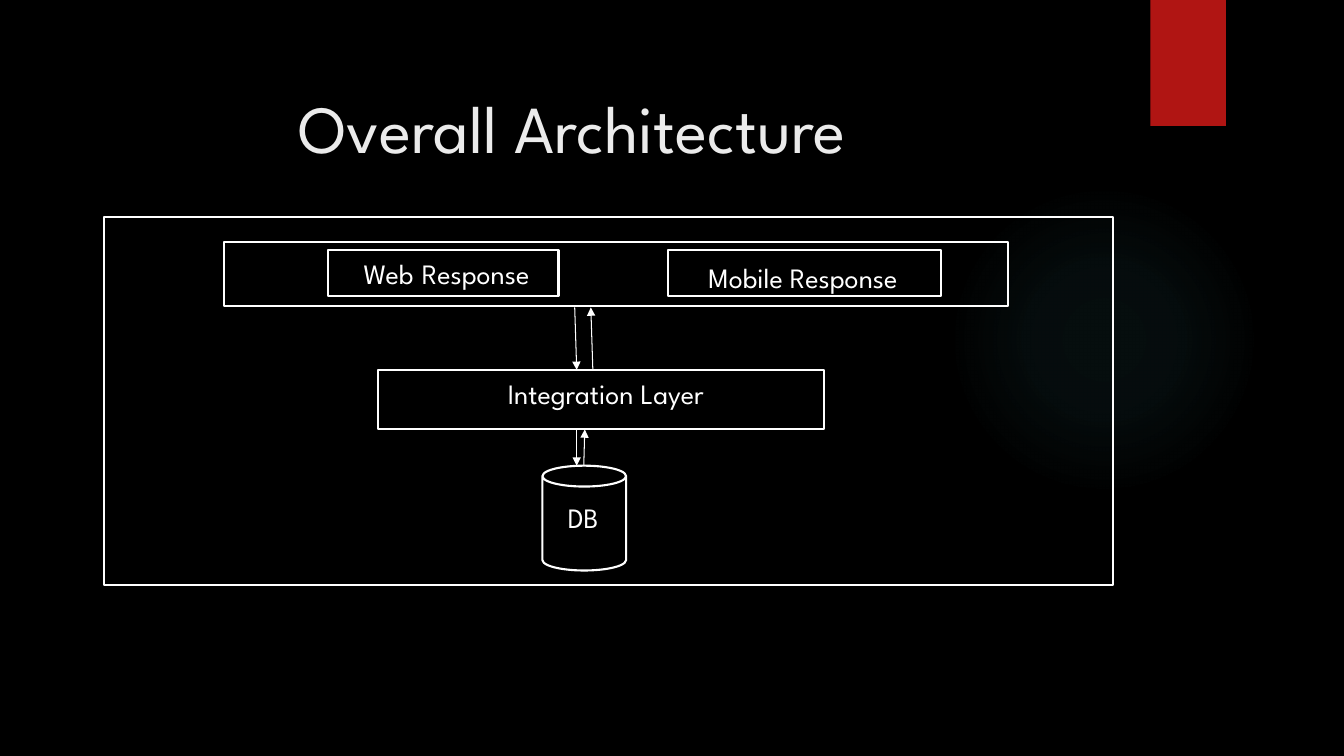
from lxml import etree
from pptx import Presentation
from pptx.dml.color import RGBColor
from pptx.enum.shapes import MSO_CONNECTOR, MSO_SHAPE
from pptx.enum.text import MSO_ANCHOR, MSO_AUTO_SIZE, PP_ALIGN
from pptx.oxml.ns import qn
from pptx.util import Inches, Pt

RECT, CAN, OVAL = MSO_SHAPE.RECTANGLE, MSO_SHAPE.CAN, MSO_SHAPE.OVAL
STRAIGHT = MSO_CONNECTOR.STRAIGHT
CENTER, MIDDLE, TOP = PP_ALIGN.CENTER, MSO_ANCHOR.MIDDLE, MSO_ANCHOR.TOP
FIT = MSO_AUTO_SIZE.SHAPE_TO_FIT_TEXT

FONT = "League Spartan"
COLORS = {"back": "000000", "line": "FFFFFF", "title": "EBEBEB",
          "ribbon": "B01513", "glow": "50B9C1"}

# Places are left, top, width, height in inches.
GLOW = (9.41, 1.83, 3.08, 3.08)
GLOW_STOPS = [(0, 7), (36, 6), (69, 0)]  # position %, opacity %
RIBBON = (11.41, 0, 0.75, 1.25)
TITLE = ("Overall Architecture", (0.85, 0.75, 9.65, 1.01))
BOXES = [
    (RECT, (2.22, 2.4, 7.78, 0.64)),
    (RECT, (3.75, 3.67, 4.42, 0.59)),
    (CAN, (5.38, 4.62, 0.83, 1.04)),
    (RECT, (3.25, 2.48, 2.29, 0.46)),
    (RECT, (6.63, 2.48, 2.7, 0.46)),
    (RECT, (1.03, 2.15, 10.01, 3.65)),
]
# Each label is a list of runs: text, and a size if it is not the usual one.
LABELS = [
    ([("Mobile Response", None)], (6.71, 2.54, 2.51, 0.44)),
    ([("Web", None), (" ", 24), ("Response", None)], (3.31, 2.44, 2.24, 0.5)),
    ([("DB", None)], (5.5, 4.92, 0.57, 0.44)),
    ([("Integration Layer", None)], (4.76, 3.69, 2.5, 0.44)),
]
ARROWS = [
    (5.7, 3.05, 5.72, 3.67),
    (5.88, 3.67, 5.86, 3.05),
    (5.72, 4.26, 5.72, 4.62),
    (5.79, 4.62, 5.8, 4.26),
]


def rgb(name):
    return RGBColor.from_string(COLORS[name])


def inches(place):
    return [Inches(n) for n in place]


def add_box(slide, kind, place, fill=None):
    """Add a filled shape without a line, or an outlined one without a fill."""
    box = slide.shapes.add_shape(kind, *inches(place))
    box.shadow.inherit = False
    if fill:
        box.fill.solid()
        box.fill.fore_color.rgb = rgb(fill)
        box.line.fill.background()
    else:
        box.fill.background()
        box.line.color.rgb = rgb("line")
        box.line.width = Pt(1.5)
    return box


def add_glow(slide):
    """Add a disc whose colour fades out from its centre."""
    disc = add_box(slide, OVAL, GLOW, "glow")
    old = disc._element.spPr.find(qn("a:solidFill"))
    grad = etree.Element(qn("a:gradFill"), rotWithShape="1")
    stops = etree.SubElement(grad, qn("a:gsLst"))
    for pos, alpha in GLOW_STOPS:
        stop = etree.SubElement(stops, qn("a:gs"), pos=str(pos * 1000))
        color = etree.SubElement(stop, qn("a:srgbClr"), val=COLORS["glow"])
        etree.SubElement(color, qn("a:alpha"), val=str(alpha * 1000))
    way = etree.SubElement(grad, qn("a:path"), path="circle")
    sides = {side: "50000" for side in "ltrb"}
    etree.SubElement(way, qn("a:fillToRect"), **sides)
    old.getparent().replace(old, grad)


def add_text(slide, runs, place, size, color, anchor, wrap):
    frame = slide.shapes.add_textbox(*inches(place)).text_frame
    frame.word_wrap = wrap
    if not wrap:
        frame.auto_size = FIT
    frame.vertical_anchor = anchor
    para = frame.paragraphs[0]
    para.alignment = CENTER
    para.font.name = FONT
    para.font.size = Pt(size)
    para.font.color.rgb = rgb(color)
    for text, own in runs:
        run = para.add_run()
        run.text = text
        if own:
            run.font.size = Pt(own)


def add_arrow(slide, ends):
    arrow = slide.shapes.add_connector(STRAIGHT, *inches(ends))
    arrow.line.color.rgb = rgb("line")
    arrow.line.width = Pt(0.75)
    etree.SubElement(arrow.line._get_or_add_ln(), qn("a:tailEnd"),
                     type="triangle")
    etree.SubElement(arrow._element.spPr, qn("a:effectLst"))


def main():
    deck = Presentation()
    deck.slide_width, deck.slide_height = Inches(13.33), Inches(7.5)
    slide = deck.slides.add_slide(deck.slide_layouts[6])
    slide.background.fill.solid()
    slide.background.fill.fore_color.rgb = rgb("back")

    add_glow(slide)
    add_box(slide, RECT, RIBBON, "ribbon")
    title, place = TITLE
    add_text(slide, [(title, None)], place, 48, "title", MIDDLE, True)
    for kind, place in BOXES:
        add_box(slide, kind, place)
    for ends in ARROWS:
        add_arrow(slide, ends)
    for runs, place in LABELS:
        add_text(slide, runs, place, 20, "line", TOP, False)
    deck.save("out.pptx")


if __name__ == "__main__":
    main()
